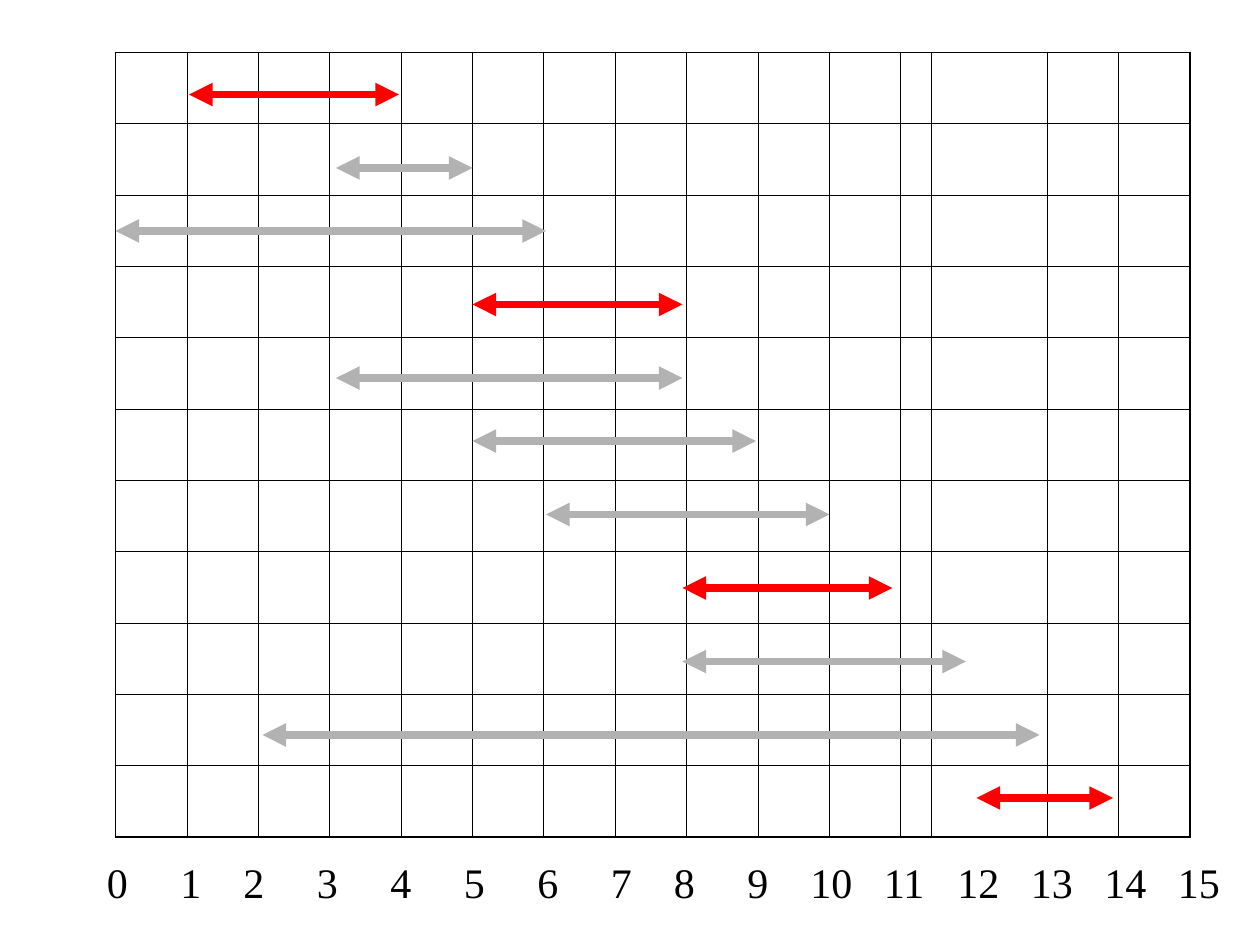
from dataclasses import dataclass
from itertools import pairwise

from lxml.etree import SubElement
from pptx import Presentation
from pptx.dml.color import RGBColor
from pptx.enum.shapes import MSO_CONNECTOR
from pptx.enum.text import MSO_AUTO_SIZE
from pptx.oxml.ns import qn
from pptx.util import Inches, Pt

RED = RGBColor(0xFF, 0x00, 0x00)
GRAY = RGBColor(0xB2, 0xB2, 0xB2)
BLACK = RGBColor(0x00, 0x00, 0x00)

UNIT = Inches(1) // 12  # the slide is a grid of 120 by 90 units
ROWS = 11
GRID_LEFT, GRID_TOP, GRID_WIDTH, GRID_HEIGHT = 11, 5, 102, 74.76
TIME_EDGES = [*range(12), 11.37, 13, 14, 15]  # in time steps
LABEL_STOPS = [7, 13, 20, 27, 34, 41, 48, 54, 61, 67, 74, 81, 88, 95, 102]


@dataclass(frozen=True)
class Activity:
    """Interval on the time axis, in grid units."""
    start: int
    finish: int
    y: int
    color: RGBColor = GRAY


ACTIVITIES = [
    Activity(18, 38, 9, RED),
    Activity(32, 45, 16),
    Activity(11, 52, 22),
    Activity(45, 65, 29, RED),
    Activity(32, 65, 36),
    Activity(45, 72, 42),
    Activity(52, 79, 49),
    Activity(65, 85, 56, RED),
    Activity(65, 92, 63),
    Activity(25, 99, 70),
    Activity(93, 106, 76, RED),
]


def units(n: float) -> int:
    return round(n * UNIT)


def set_borders(cell, widths: dict[str, float]) -> None:
    tc_pr = cell._tc.get_or_add_tcPr()
    for side, width in widths.items():
        ln = SubElement(tc_pr, qn(f"a:ln{side}"), w=str(Pt(width)))
        fill = SubElement(ln, qn("a:solidFill"))
        SubElement(fill, qn("a:srgbClr"), val=str(BLACK))


def add_grid(s) -> None:
    cols = len(TIME_EDGES) - 1
    table = s.shapes.add_table(
        ROWS, cols, units(GRID_LEFT), units(GRID_TOP),
        units(GRID_WIDTH), units(GRID_HEIGHT)).table
    table.first_row = table.horz_banding = False
    step = GRID_WIDTH / TIME_EDGES[-1]
    for column, (left, right) in zip(table.columns, pairwise(TIME_EDGES)):
        column.width = units((right - left) * step)
    thin, thick = 0.45, 1.08
    for i, row in enumerate(table.rows):
        row.height = units(GRID_HEIGHT / ROWS)
        for j, cell in enumerate(row.cells):
            set_borders(cell, {
                "L": thick if j == 0 else thin,
                "R": thick if j == cols - 1 else thin,
                "T": thick if i == 0 else thin,
                "B": thick if i == ROWS - 1 else thin,
            })
            cell.fill.background()


def add_activity(s, a: Activity) -> None:
    arrow = s.shapes.add_connector(
        MSO_CONNECTOR.STRAIGHT,
        units(a.start), units(a.y), units(a.finish), units(a.y))
    arrow.line.color.rgb = a.color
    arrow.line.width = Pt(4.5)
    ln = arrow.line._get_or_add_ln()
    for end in ("a:headEnd", "a:tailEnd"):
        SubElement(ln, qn(end), type="triangle")
    SubElement(arrow._element.spPr, qn("a:effectLst"))


def add_tabbed_text(s, text: str, stops: list[int], *, left: float, top: float,
                    width: float, height: float, size: float, font: str,
                    color: RGBColor) -> None:
    tf = s.shapes.add_textbox(
        units(left), units(top), units(width), units(height)).text_frame
    tf.word_wrap = False
    tf.auto_size = MSO_AUTO_SIZE.SHAPE_TO_FIT_TEXT
    p = tf.paragraphs[0]
    tabs = SubElement(p._p.get_or_add_pPr(), qn("a:tabLst"))
    for stop in stops:
        SubElement(tabs, qn("a:tab"), pos=str(units(stop)), algn="l")
    r = p.add_run()
    r.text = text
    r.font.size = Pt(size)
    r.font.name = font
    r.font.color.rgb = color


def main() -> None:
    prs = Presentation()
    prs.slide_width, prs.slide_height = units(120), units(90)
    s = prs.slides.add_slide(prs.slide_layouts[6])
    add_grid(s)
    for activity in ACTIVITIES:
        add_activity(s, activity)
    add_tabbed_text(s, "\t".join(map(str, range(16))), LABEL_STOPS,
                    left=9, top=81, width=108.4, height=6,
                    size=24, font="Times New Roman", color=BLACK)
    prs.save("out.pptx")


if __name__ == "__main__":
    main()
